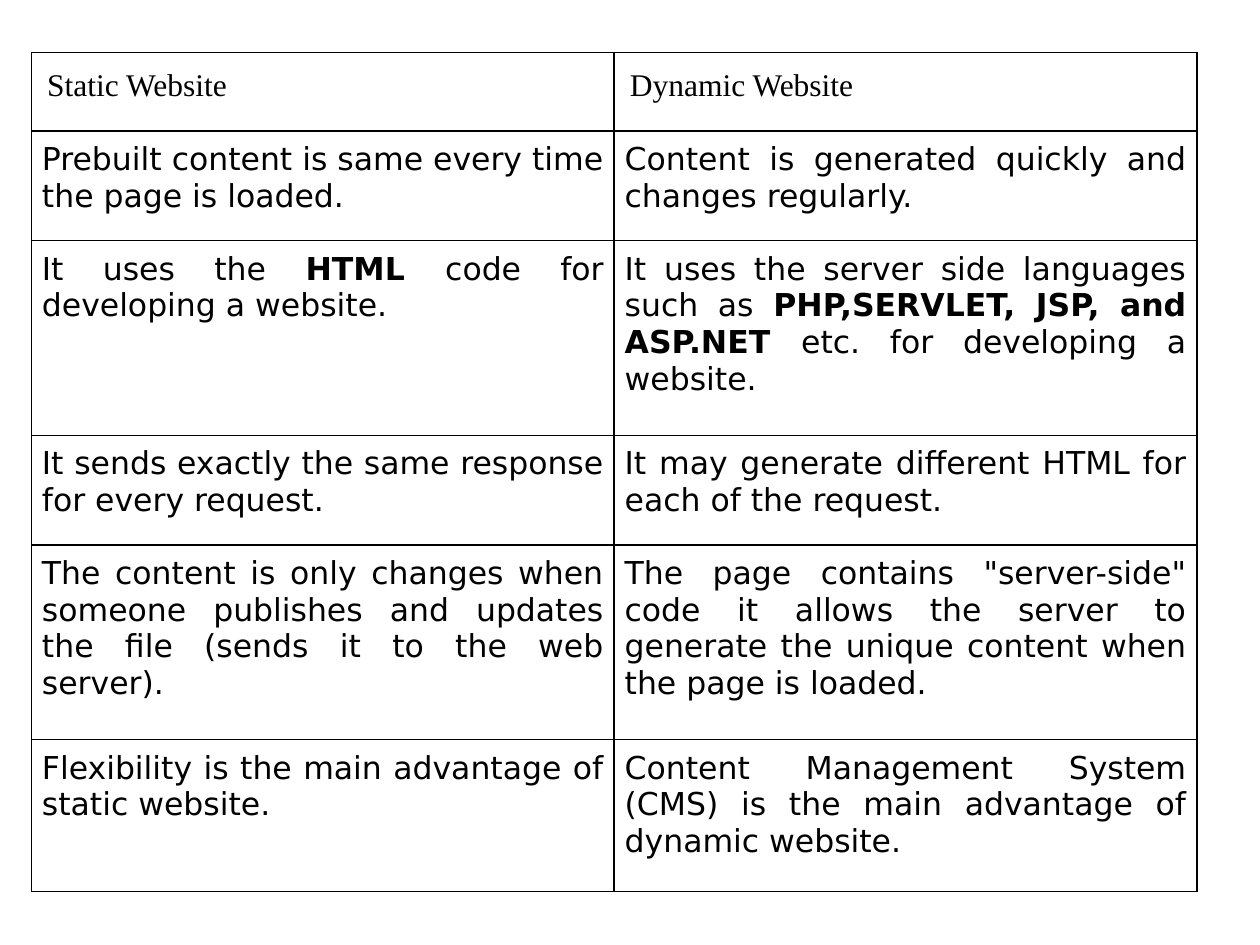
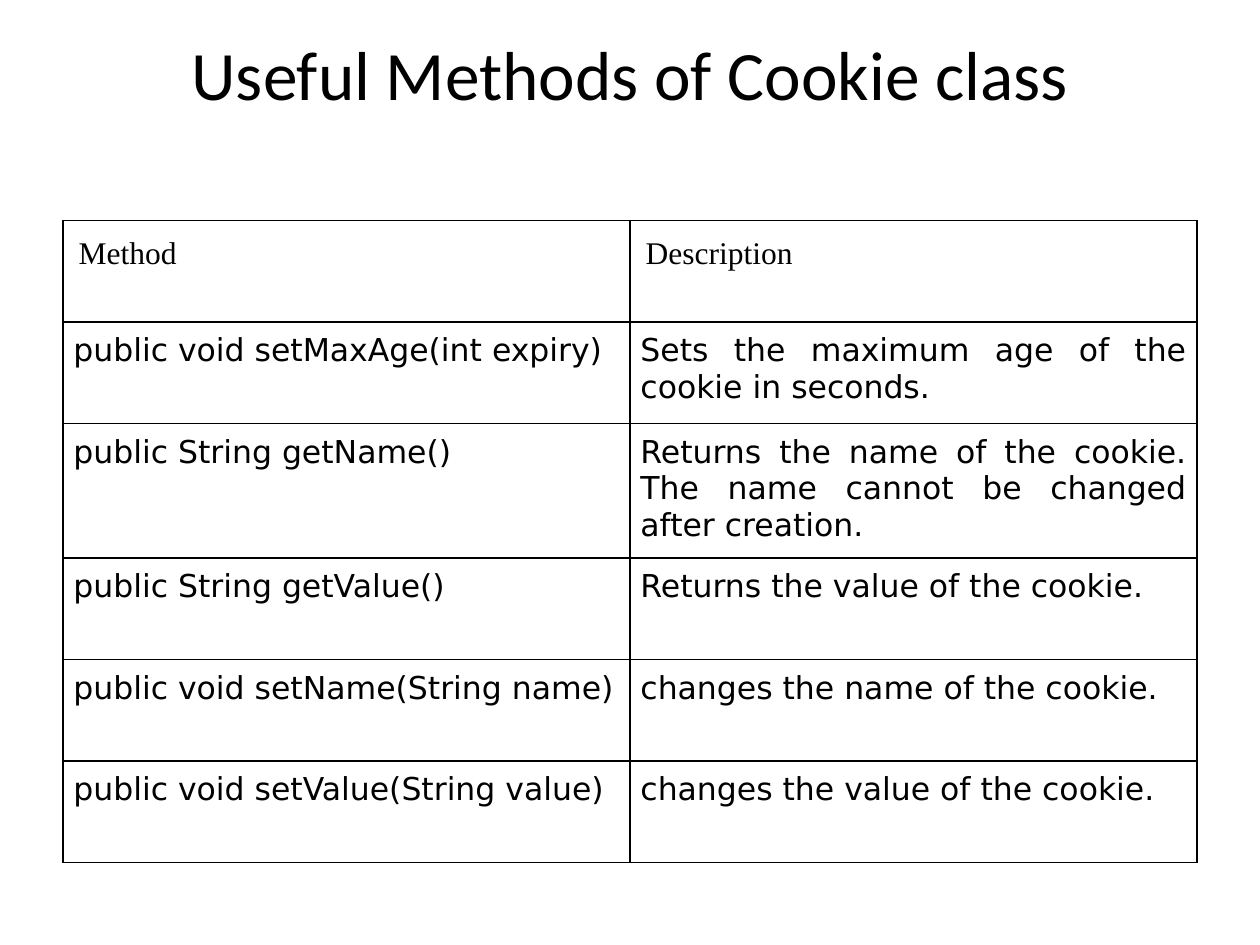
from lxml.etree import SubElement
from pptx import Presentation
from pptx.dml.color import RGBColor
from pptx.enum.text import MSO_ANCHOR, PP_ALIGN
from pptx.oxml.ns import qn
from pptx.util import Pt

BLACK = RGBColor(0, 0, 0)
WHITE = RGBColor(255, 255, 255)
TITLE = {"name": "Calibri", "size": Pt(39.6), "bold": False}
HEADER = {"name": "Times New Roman", "size": Pt(18), "bold": False}
BODY = {"name": "DejaVu Sans", "size": Pt(18), "bold": False}
SIDES = ("margin_left", "margin_top", "margin_right", "margin_bottom")

WEBSITES = [
    ("Static Website", "Dynamic Website"),
    ("Prebuilt content is same every time the page is loaded.",
     "Content is generated quickly and changes regularly."),
    ("It uses the **HTML **code for developing a website.",
     "It uses the server side languages such as **PHP,SERVLET, JSP, and ASP.NET **"
     "etc. for developing a website."),
    ("It sends exactly the same response for every request.",
     "It may generate different HTML for each of the request."),
    ("The content is only changes when someone publishes and updates the file "
     "(sends it to the web server).",
     'The page contains "server-side" code it allows the server to generate the '
     "unique content when the page is loaded."),
    ("Flexibility is the main advantage of static website.",
     "Content Management System (CMS) is the main advantage of dynamic website."),
]
METHODS = [
    ("Method", "Description"),
    ("public void setMaxAge(int expiry)", "Sets the maximum age of the cookie in seconds."),
    ("public String getName()",
     "Returns the name of the cookie. The name cannot be changed after creation."),
    ("public String getValue()", "Returns the value of the cookie."),
    ("public void setName(String name)", "changes the name of the cookie."),
    ("public void setValue(String value)", "changes the value of the cookie."),
]


def apply(target, values):
    for name, value in values.items():
        setattr(target, name, value)


class Deck:
    """Builds plain slides with a title and ruled two-column tables."""

    def __init__(self):
        self.deck = Presentation()
        apply(self.deck, {"slide_width": Pt(720), "slide_height": Pt(540)})
        self.page = None

    def add_page(self):
        self.page = self.deck.slides.add_slide(self.deck.slide_layouts[6])

    def add_text(self, para, text, style, align):
        para.alignment = align
        for index, part in enumerate(text.split("**")):
            span = para.add_run()
            span.text = part
            apply(span.font, {**style, "bold": index % 2 == 1})
            span.font.color.rgb = BLACK

    def add_title(self, text):
        box = self.page.shapes.add_textbox(Pt(36), Pt(18), Pt(648), Pt(94))
        frame = box.text_frame
        apply(frame, {"word_wrap": True, "vertical_anchor": MSO_ANCHOR.TOP,
                      **dict.fromkeys(SIDES, 0)})
        self.add_text(frame.paragraphs[0], text, TITLE, PP_ALIGN.CENTER)

    def add_borders(self, cell):
        properties = cell._tc.get_or_add_tcPr()
        for side in "LRTB":
            line = SubElement(properties, qn(f"a:ln{side}"), w=str(Pt(1)))
            fill = SubElement(line, qn("a:solidFill"))
            SubElement(fill, qn("a:srgbClr"), val=str(BLACK))

    def add_table(self, rows, left, top, column_width, heights):
        count = len(rows[0])
        table = self.page.shapes.add_table(
            len(rows), count, Pt(left), Pt(top),
            Pt(column_width * count), Pt(sum(heights))).table
        apply(table, {"first_row": False, "horz_banding": False})
        for row_index, (texts, height) in enumerate(zip(rows, heights)):
            table.rows[row_index].height = Pt(height)
            is_header = row_index == 0
            style = HEADER if is_header else BODY
            align = PP_ALIGN.LEFT if is_header else PP_ALIGN.JUSTIFY
            for column_index, text in enumerate(texts):
                cell = table.cell(row_index, column_index)
                apply(cell, dict.fromkeys(SIDES, Pt(9 if is_header else 6)))
                self.add_borders(cell)
                cell.fill.solid()
                cell.fill.fore_color.rgb = WHITE
                self.add_text(cell.text_frame.paragraphs[0], text, style, align)


def main():
    builder = Deck()
    builder.add_page()
    builder.add_table(WEBSITES, 18, 30, 333, [45, 62.6, 111.2, 62.6, 111.2, 87])
    builder.add_page()
    builder.add_title("Useful Methods of Cookie class")
    builder.add_table(METHODS, 36, 126, 324, [58, 58, 74.4, 58, 58, 58])
    builder.deck.save("out.pptx")


if __name__ == "__main__":
    main()
